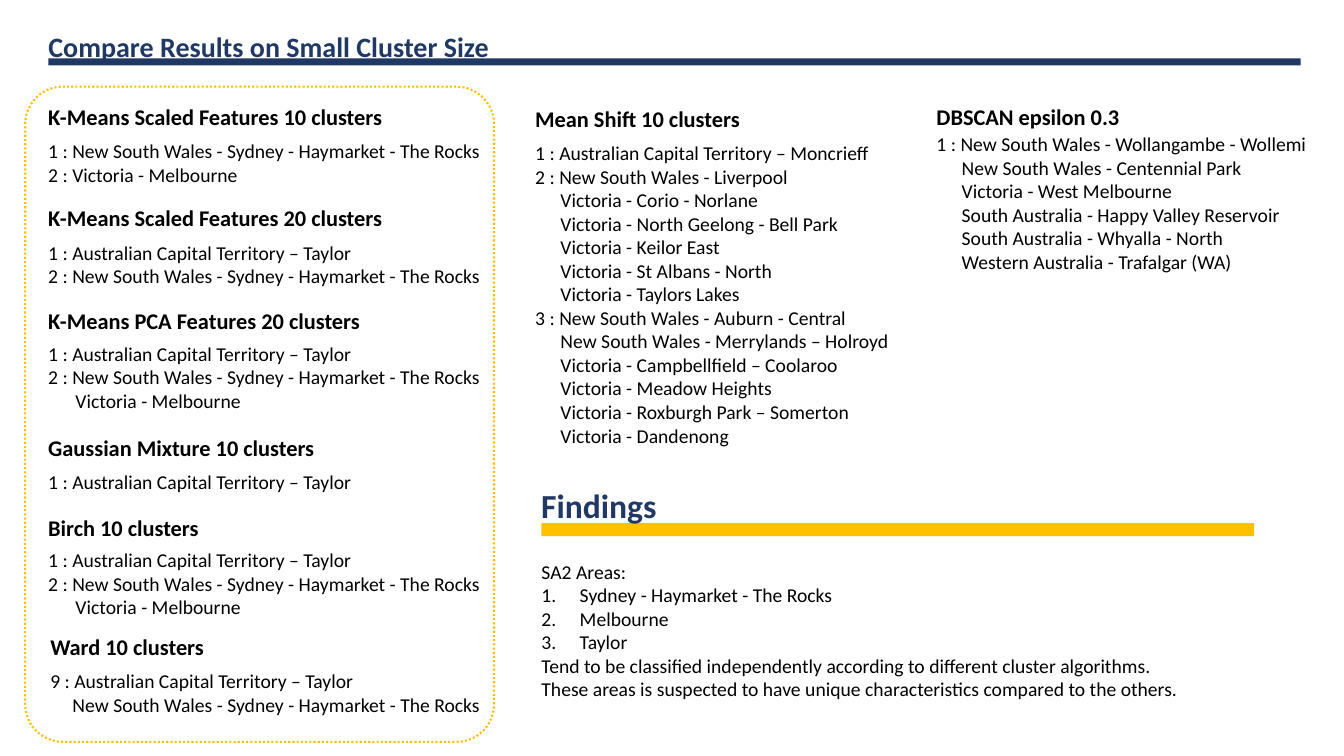
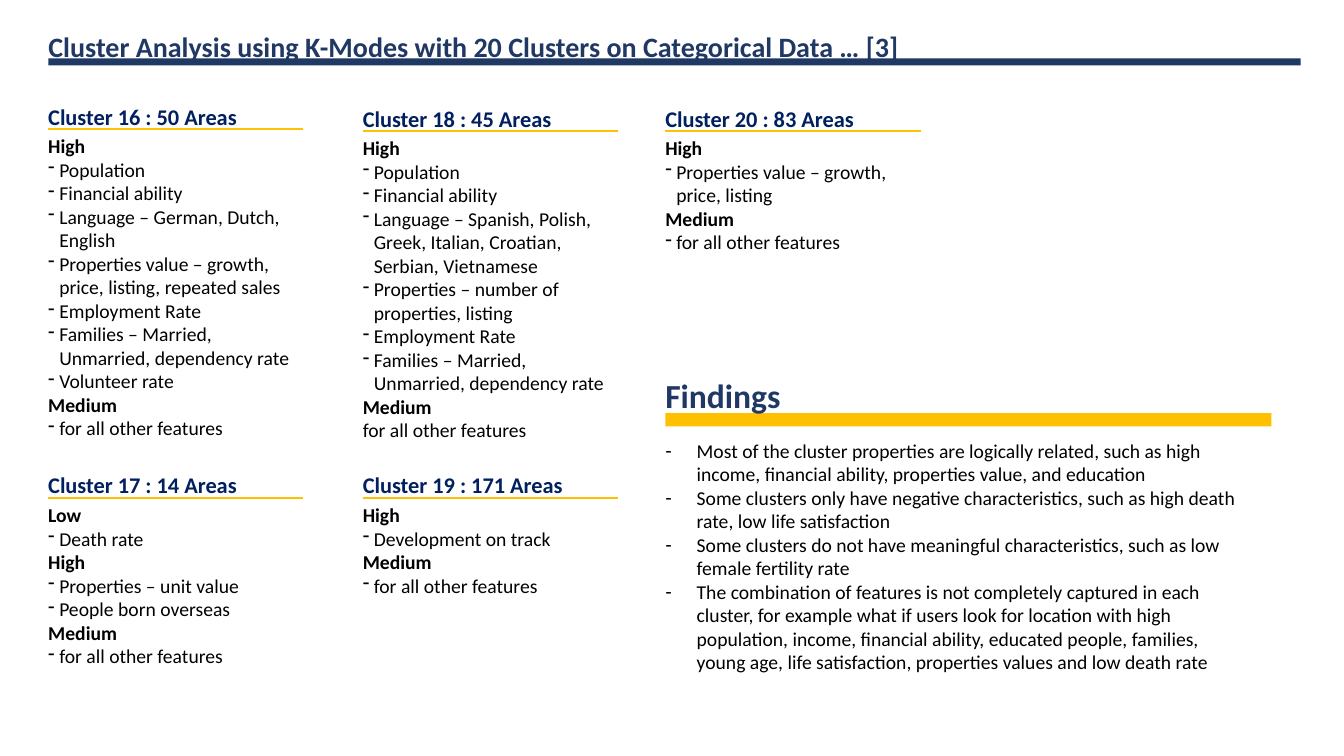
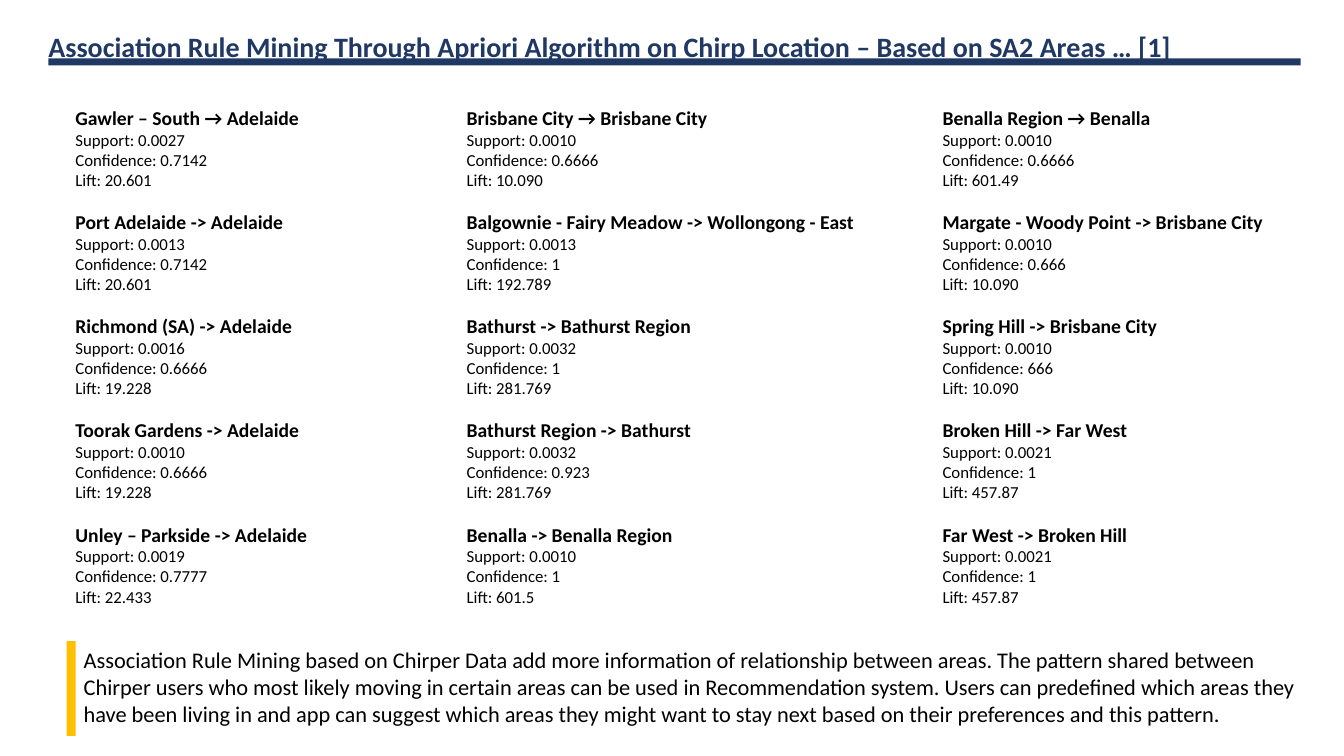
from dataclasses import dataclass

from lxml import etree
from pptx import Presentation
from pptx.dml.color import RGBColor
from pptx.enum.dml import MSO_LINE
from pptx.enum.shapes import MSO_CONNECTOR, MSO_SHAPE
from pptx.enum.text import MSO_ANCHOR, MSO_AUTO_SIZE, PP_ALIGN
from pptx.oxml.ns import qn
from pptx.util import Pt

EMU_PER_PX = 9144  # 100 px to the inch
RECT, ROUND_RECT = MSO_SHAPE.RECTANGLE, MSO_SHAPE.ROUNDED_RECTANGLE
STRAIGHT = MSO_CONNECTOR.STRAIGHT
DOTTED = MSO_LINE.ROUND_DOT
LEFT, TOP = PP_ALIGN.LEFT, MSO_ANCHOR.TOP
NO_AUTOFIT = MSO_AUTO_SIZE.NONE


@dataclass(frozen=True)
class Theme:
    font: str = "Calibri"
    navy: RGBColor = RGBColor(0x20, 0x38, 0x64)
    blue: RGBColor = RGBColor(0x00, 0x20, 0x60)
    gold: RGBColor = RGBColor(0xFF, 0xC0, 0x00)
    black: RGBColor = RGBColor(0, 0, 0)
    findings: int = 24
    title: int = 20
    heading: int = 16
    body: int = 14
    small: int = 12
    rule_gap: float = 14.4
    line: float = 1.5


THEME = Theme()


@dataclass(frozen=True)
class Line:
    """One paragraph; left and hang are px, before and size are points."""
    text: str
    size: int = THEME.body
    bold: bool = False
    color: RGBColor = THEME.black
    left: int = 0
    hang: int = 0
    bullet: str = ""
    before: float = 0


def px(length):
    return length * EMU_PER_PX


def heading(text, color=THEME.black):
    return Line(text, THEME.heading, True, color)


def under(text, left=25):
    return Line(text, left=left)


def level(text):
    return Line(text, bold=True)


def dash(text, hang=11):
    return Line(text, left=hang, hang=hang, bullet="-")


def numbered(text):
    return Line(text, left=38, hang=38, bullet="1.")


def add_bullet(props, bullet):
    if bullet == "1.":
        etree.SubElement(props, qn("a:buAutoNum"), type="arabicPeriod")
    elif bullet:
        etree.SubElement(props, qn("a:buChar"), char=bullet)
    else:
        etree.SubElement(props, qn("a:buNone"))


def write(box, lines):
    frame = box.text_frame
    frame.word_wrap = True
    frame.auto_size = NO_AUTOFIT
    frame.vertical_anchor = TOP
    for index, line in enumerate(lines):
        para = frame.add_paragraph() if index else frame.paragraphs[0]
        para.text = line.text
        para.alignment = LEFT
        para.space_before = Pt(line.before if index else 0)
        props = para._p.get_or_add_pPr()
        props.set("marL", str(px(line.left)))
        props.set("indent", str(px(-line.hang)))
        add_bullet(props, line.bullet)
        font = para.font
        font.name, font.size, font.bold = THEME.font, Pt(line.size), line.bold
        font.color.rgb = line.color


def place(box, left, top, width, height):
    box.left, box.top, box.width, box.height = map(px, (left, top, width, height))


def add_text(shapes, left, top, width, height, lines):
    write(shapes.add_textbox(*map(px, (left, top, width, height))), lines)


def add_bar(page, left, top, width, height, color):
    bar = page.shapes.add_shape(RECT, *map(px, (left, top, width, height)))
    bar.shadow.inherit = False
    bar.fill.solid()
    bar.fill.fore_color.rgb = color
    bar.line.fill.background()


def add_page(deck, title):
    page = deck.slides.add_slide(deck.slide_layouts[1])
    place(page.shapes.title, 38, 24, 1285, 34)
    write(page.shapes.title, [Line(title, THEME.title, True, THEME.navy)])
    add_bar(page, 48, 58, 1242, 7, THEME.navy)
    return page


def add_body(page, left, top, width, height, lines):
    body = page.placeholders[1]
    place(body, left, top, width, height)
    write(body, lines)


def text_height(lines):
    return 10 + 24 * len(lines)


def add_result(page, left, top, width, name, lines, gap=36):
    """A method name with its small clusters listed below."""
    add_text(page.shapes, left, top, width, 37, [heading(name)])
    add_text(page.shapes, left, top + gap, width, text_height(lines), lines)


def add_findings(page, left, top, bar_width, gap, body_width, body_height, lines):
    add_bar(page, left + 10, top + 43, bar_width, 13, THEME.gold)
    add_text(page.shapes, left, top, 480, 56,
             [Line("Findings", THEME.findings, True, THEME.navy)])
    add_body(page, left, top + gap, body_width, body_height, lines)


def add_cluster(page, left, top, name, height, lines):
    """An underlined cluster name with its features, in one group."""
    shapes = page.shapes.add_group_shape().shapes
    add_text(shapes, left, top, 277, 37, [heading(name, THEME.blue)])
    add_text(shapes, left, top + 31, 277, height, lines)
    rule = shapes.add_connector(
        STRAIGHT, *map(px, (left + 10, top + 31, left + 263, top + 31)))
    rule.line.color.rgb = THEME.gold
    rule.line.width = Pt(THEME.line)
    etree.SubElement(rule._element.spPr, qn("a:effectLst"))


def add_rules(page, left, top, width, rules):
    """A column of association rules with their three measures."""
    lines = []
    for name, *values in rules:
        lines.append(Line(name, bold=True, before=THEME.rule_gap))
        lines += [Line(f"{measure}: {value}", THEME.small)
                  for measure, value in zip(("Support", "Confidence", "Lift"), values)]
    add_text(page.shapes, left, top, width, 532, lines)


def build_results(deck):
    page = add_page(deck, "Compare Results on Small Cluster Size")
    taylor = Line("1 : Australian Capital Territory – Taylor")
    rocks = "New South Wales - Sydney - Haymarket - The Rocks"
    rocks_second = Line(f"2 : {rocks}")
    melbourne = under("Victoria - Melbourne", 27)
    framed = [
        (38, 97, 36, "K-Means Scaled Features 10 clusters",
         [Line(f"1 : {rocks}"), Line("2 : Victoria - Melbourne")]),
        (38, 198, 36, "K-Means Scaled Features 20 clusters", [taylor, rocks_second]),
        (38, 300, 34, "K-Means PCA Features 20 clusters",
         [taylor, rocks_second, melbourne]),
        (38, 426, 35, "Gaussian Mixture 10 clusters", [taylor]),
        (38, 505, 34, "Birch 10 clusters", [taylor, rocks_second, melbourne]),
        (40, 623, 36, "Ward 10 clusters",
         [Line("9 : Australian Capital Territory – Taylor"), under(rocks, 22)]),
    ]
    for left, top, gap, name, lines in framed:
        add_result(page, left, top, 465, name, lines, gap)
    frame = page.shapes.add_shape(ROUND_RECT, *map(px, (25, 86, 465, 650)))
    frame.adjustments[0] = 0.08
    frame.shadow.inherit = False
    frame.fill.background()
    frame.line.color.rgb = THEME.gold
    frame.line.width = Pt(THEME.line)
    frame.line.dash_style = DOTTED

    add_result(page, 521, 99, 385, "Mean Shift 10 clusters", [
        Line("1 : Australian Capital Territory – Moncrieff"),
        Line("2 : New South Wales - Liverpool"),
        under("Victoria - Corio - Norlane"),
        under("Victoria - North Geelong - Bell Park"),
        under("Victoria - Keilor East"),
        under("Victoria - St Albans - North"),
        under("Victoria - Taylors Lakes"),
        Line("3 : New South Wales - Auburn - Central"),
        under("New South Wales - Merrylands – Holroyd"),
        under("Victoria - Campbellfield – Coolaroo"),
        under("Victoria - Meadow Heights"),
        under("Victoria - Roxburgh Park – Somerton"),
        under("Victoria - Dandenong"),
    ])
    add_result(page, 919, 97, 414, "DBSCAN epsilon 0.3", [
        Line("1 : New South Wales - Wollangambe - Wollemi"),
        under("New South Wales - Centennial Park"),
        under("Victoria - West Melbourne"),
        under("South Australia - Happy Valley Reservoir"),
        under("South Australia - Whyalla - North"),
        under("Western Australia - Trafalgar (WA)"),
    ], gap=29)
    add_findings(page, 527, 476, 707, 74, 696, 151, [
        Line("SA2 Areas:"),
        numbered("Sydney - Haymarket - The Rocks"),
        numbered("Melbourne"),
        numbered("Taylor"),
        Line("Tend to be classified independently according to different "
             "cluster algorithms."),
        Line("These areas is suspected to have unique characteristics compared "
             "to the others."),
    ])


def build_clusters(deck):
    page = add_page(deck, "Cluster Analysis using K-Modes with 20 Clusters "
                          "on Categorical Data … [3]")
    low, high, medium = map(level, ("Low", "High", "Medium"))
    others = dash("for all other features")
    population, ability = dash("Population"), dash("Financial ability")
    employment = dash("Employment Rate")
    families = dash("Families – Married, Unmarried, dependency rate")
    add_cluster(page, 38, 97, "Cluster 16 : 50 Areas", 316, [
        high, population, ability,
        dash("Language – German, Dutch, English"),
        dash("Properties value – growth, price, listing, repeated sales"),
        employment, families, dash("Volunteer rate"),
        medium, others])
    add_cluster(page, 350, 99, "Cluster 18 : 45 Areas", 316, [
        high, population, ability,
        dash("Language – Spanish, Polish, Greek, Italian, Croatian, Serbian, "
             "Vietnamese"),
        dash("Properties – number of properties, listing"),
        employment, families,
        medium, Line("for all other features")])
    add_cluster(page, 350, 463, "Cluster 19 : 171 Areas", 104, [
        high, dash("Development on track"), medium, others])
    add_cluster(page, 650, 99, "Cluster 20 : 83 Areas", 128, [
        high, dash("Properties value – growth, price, listing"), medium, others])
    add_cluster(page, 38, 463, "Cluster 17 : 14 Areas", 175, [
        low, dash("Death rate"),
        high, dash("Properties – unit value"), dash("People born overseas"),
        medium, others])
    findings = (
        "Most of the cluster properties are logically related, such as high income, "
        "financial ability, properties value, and education",
        "Some clusters only have negative characteristics, such as high death rate, "
        "low life satisfaction",
        "Some clusters do not have meaningful characteristics, such as low female "
        "fertility rate",
        "The combination of features is not completely captured in each cluster, for "
        "example what if users look for location with high population, income, "
        "financial ability, educated people, families, young age, life satisfaction, "
        "properties values and low death rate",
    )
    add_findings(page, 650, 367, 601, 63, 601, 246,
                 [dash(text, 31) for text in findings])


def build_rules(deck):
    page = add_page(deck, "Association Rule Mining Through Apriori Algorithm on "
                          "Chirp Location – Based on SA2 Areas … [1]")
    add_rules(page, 65, 100, 270, [
        ("Gawler – South → Adelaide", "0.0027", "0.7142", "20.601"),
        ("Port Adelaide -> Adelaide", "0.0013", "0.7142", "20.601"),
        ("Richmond (SA) -> Adelaide", "0.0016", "0.6666", "19.228"),
        ("Toorak Gardens -> Adelaide", "0.0010", "0.6666", "19.228"),
        ("Unley – Parkside -> Adelaide", "0.0019", "0.7777", "22.433"),
    ])
    add_rules(page, 453, 100, 415, [
        ("Brisbane City → Brisbane City", "0.0010", "0.6666", "10.090"),
        ("Balgownie - Fairy Meadow -> Wollongong - East", "0.0013", "1", "192.789"),
        ("Bathurst -> Bathurst Region", "0.0032", "1", "281.769"),
        ("Bathurst Region -> Bathurst", "0.0032", "0.923", "281.769"),
        ("Benalla -> Benalla Region", "0.0010", "1", "601.5"),
    ])
    add_rules(page, 925, 100, 350, [
        ("Benalla Region → Benalla", "0.0010", "0.6666", "601.49"),
        ("Margate - Woody Point -> Brisbane City", "0.0010", "0.666", "10.090"),
        ("Spring Hill -> Brisbane City", "0.0010", "666", "10.090"),
        ("Broken Hill -> Far West", "0.0021", "1", "457.87"),
        ("Far West -> Broken Hill", "0.0021", "1", "457.87"),
    ])
    add_body(page, 73, 636, 1233, 91, [Line(
        "Association Rule Mining based on Chirper Data add more information of "
        "relationship between areas. The pattern shared between Chirper users who "
        "most likely moving in certain areas can be used in Recommendation system. "
        "Users can predefined which areas they have been living in and app can "
        "suggest which areas they might want to stay next based on their preferences "
        "and this pattern.", THEME.heading)])
    add_bar(page, 66, 636, 9, 94, THEME.gold)


def main():
    deck = Presentation()
    deck.slide_width, deck.slide_height = px(1333), px(750)
    build_results(deck)
    build_clusters(deck)
    build_rules(deck)
    deck.save("out.pptx")


if __name__ == "__main__":
    main()
